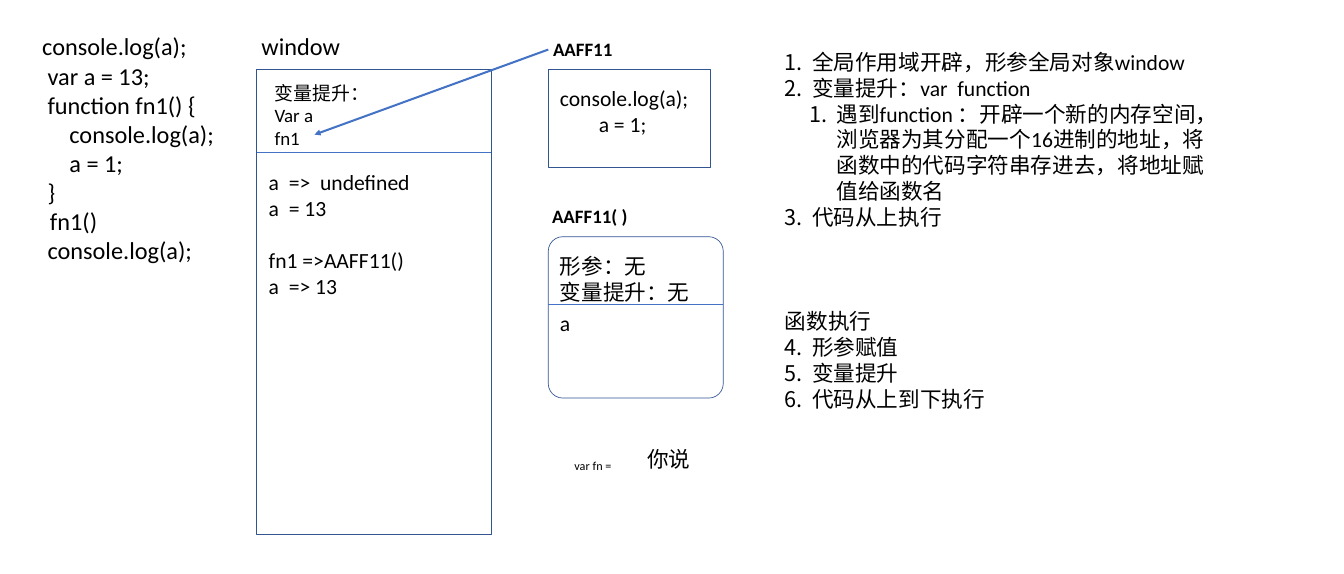
from lxml.etree import SubElement
from pptx import Presentation
from pptx.dml.color import RGBColor
from pptx.enum.shapes import MSO_CONNECTOR, MSO_SHAPE
from pptx.enum.text import MSO_AUTO_SIZE, PP_ALIGN
from pptx.oxml.ns import qn
from pptx.util import Inches, Pt

# The grid has cells of one inch; positions are counted in columns and rows.
COLUMNS, ROWS = 27.65, 11.81
CELL = Inches(1)
FONT = "Calibri"
COLORS = {"text": "000000", "border": "325491", "line": "4472C4"}

WINDOW_LEFT, WINDOW_WIDTH = 5.28, 4.83
FUNCTION_LEFT = 11.28
FUNCTION_TEXT_LEFT = 11.42
BOX_TOP = 1.43
WINDOW_DIVIDER = 3.13
CALL_WIDTH, CALL_DIVIDER = 3.6, 6.26
HANGING = 0.56
LIST_LINE = 38.6


def grid(*cells):
    return [round(cell * CELL) for cell in cells]


def color(name):
    return RGBColor.from_string(COLORS[name])


def item(text, indent=0, number=None, level=0, before=0):
    """Describe one paragraph; number is the first value of its list."""
    return {"text": text, "indent": indent, "number": number,
            "level": level, "before": before}


def format_paragraph(paragraph, entry):
    paragraph.alignment = PP_ALIGN.LEFT
    paragraph.level = entry["level"]
    if entry["before"]:
        paragraph.space_before = Pt(entry["before"])
    properties = paragraph._p.get_or_add_pPr()
    indent, hanging = grid(entry["indent"], HANGING)
    properties.set("marL", str(indent))
    if entry["number"]:
        properties.set("marL", str(indent + hanging))
        properties.set("indent", str(-hanging))
        SubElement(properties, qn("a:buFont"), typeface="+mj-lt")
        numbering = SubElement(properties, qn("a:buAutoNum"), type="arabicPeriod")
        if entry["number"] > 1:
            numbering.set("startAt", str(entry["number"]))


def add_text(slide, place, size, entries, bold=False, wrap=True):
    frame = slide.shapes.add_textbox(*grid(*place)).text_frame
    frame.word_wrap = wrap
    frame.auto_size = MSO_AUTO_SIZE.SHAPE_TO_FIT_TEXT
    for index, entry in enumerate(entries):
        paragraph = frame.add_paragraph() if index else frame.paragraphs[0]
        format_paragraph(paragraph, entry)
        run = paragraph.add_run()
        run.text = entry["text"]
        run.font.name, run.font.size, run.font.bold = FONT, Pt(size), bold
        run.font.color.rgb = color("text")


def add_label(slide, place, size, text, bold=False):
    add_text(slide, place, size, [item(text)], bold, wrap=False)


def add_box(slide, place, kind=MSO_SHAPE.RECTANGLE):
    shape = slide.shapes.add_shape(kind, *grid(*place))
    shape.shadow.inherit = False
    shape.fill.background()
    shape.line.color.rgb = color("border")
    shape.line.width = Pt(1)
    return shape


def add_line(slide, start, end, width, arrow=False):
    connector = slide.shapes.add_connector(
        MSO_CONNECTOR.STRAIGHT, *grid(*start, *end))
    connector.line.color.rgb = color("line")
    connector.line.width = Pt(width)
    if arrow:
        SubElement(connector.line._get_or_add_ln(), qn("a:tailEnd"), type="triangle")
    SubElement(connector._element.spPr, qn("a:effectLst"))


def add_divider(slide, left, top, width):
    add_line(slide, (left, top), (left + width, top), 0.5)


def add_source_code(slide):
    add_text(slide, (0.43, 0.6, 4.22, 4.95), 36, [
        item("console.log(a);", 0.34),
        item("var a = 13;", 0.45),
        item("function fn1() {", 0.45),
        item("console.log(a);", 0.9),
        item("a = 1;", 0.9),
        item("}", 0.45),
        item("fn1()", 0.5),
        item("console.log(a);", 0.45),
    ])


def add_window_scope(slide):
    add_box(slide, (WINDOW_LEFT, BOX_TOP, WINDOW_WIDTH, 9.56))
    add_label(slide, (WINDOW_LEFT, 0.6, 1.83, 0.71), 36, "window")
    add_divider(slide, WINDOW_LEFT, WINDOW_DIVIDER, WINDOW_WIDTH)
    add_text(slide, (5.55, 1.62, 4.57, 1.51), 28,
             [item("变量提升："), item("Var a"), item("fn1")])
    add_text(slide, (5.43, 3.43, 4.42, 2.79), 32, [
        item("a  =>  undefined"),
        item("a  = 13"),
        item("fn1 =>AAFF11()", before=LIST_LINE),
        item("a  => 13"),
    ])


def add_function_memory(slide):
    add_box(slide, (FUNCTION_LEFT, BOX_TOP, 3.33, 2.02))
    add_label(slide, (FUNCTION_LEFT, 0.73, 1.44, 0.57), 28, "AAFF11", bold=True)
    add_text(slide, (FUNCTION_TEXT_LEFT, 1.7, 3, 1.18), 32,
             [item("console.log(a);"), item("a = 1;", 0.8)])
    add_line(slide, (FUNCTION_LEFT, 1.02), (6.47, 2.77), 3, arrow=True)


def add_function_call(slide):
    call = add_box(slide, (FUNCTION_LEFT, 4.87, CALL_WIDTH, 3.32),
                   MSO_SHAPE.ROUNDED_RECTANGLE)
    call.adjustments[0] = 0.09
    add_label(slide, (11.26, 4.16, 1.77, 0.57), 28, "AAFF11( )", bold=True)
    add_divider(slide, FUNCTION_LEFT, CALL_DIVIDER, CALL_WIDTH)
    add_text(slide, (FUNCTION_TEXT_LEFT, 5.15, 3.32, 1.18), 32,
             [item("形参：无"), item("变量提升：无")])
    add_text(slide, (FUNCTION_TEXT_LEFT, 6.33, 3.2, 0.64), 32, [item("a")])


def add_steps(slide):
    add_text(slide, (16.05, 0.95, 9.05, 8.18), 32, [
        item("全局作用域开辟，形参全局对象window", number=1),
        item("变量提升：var  function", number=1),
        item("遇到function ：开辟一个新的内存空间，浏览器为其分配一个16进制的地址，"
             "将函数中的代码字符串存进去，将地址赋值给函数名",
             indent=0.5, number=1, level=1),
        item("代码从上执行", number=1),
        item("函数执行", before=3 * LIST_LINE),
        item("形参赋值", number=4),
        item("变量提升", number=4),
        item("代码从上到下执行", number=4),
    ])


def add_loose_notes(slide):
    add_label(slide, (11.72, 9.38, 1.03, 0.4), 18, "var fn =")
    add_text(slide, (13.22, 9.13, 1.82, 0.64), 32, [item("你说")])


def main():
    presentation = Presentation()
    presentation.slide_width, presentation.slide_height = grid(COLUMNS, ROWS)
    slide = presentation.slides.add_slide(presentation.slide_layouts[6])
    add_source_code(slide)
    add_window_scope(slide)
    add_function_memory(slide)
    add_function_call(slide)
    add_steps(slide)
    add_loose_notes(slide)
    presentation.save("out.pptx")


main()
